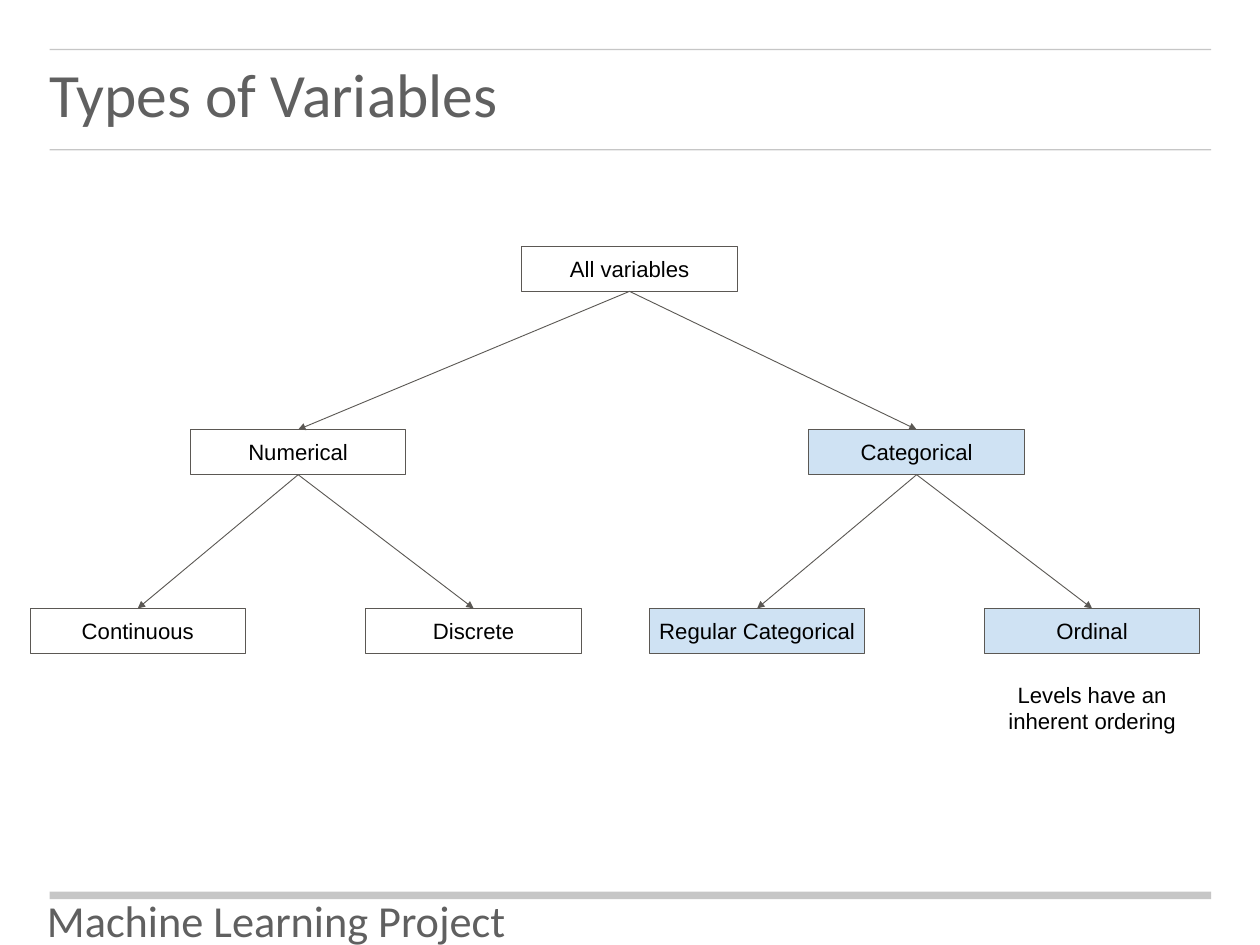
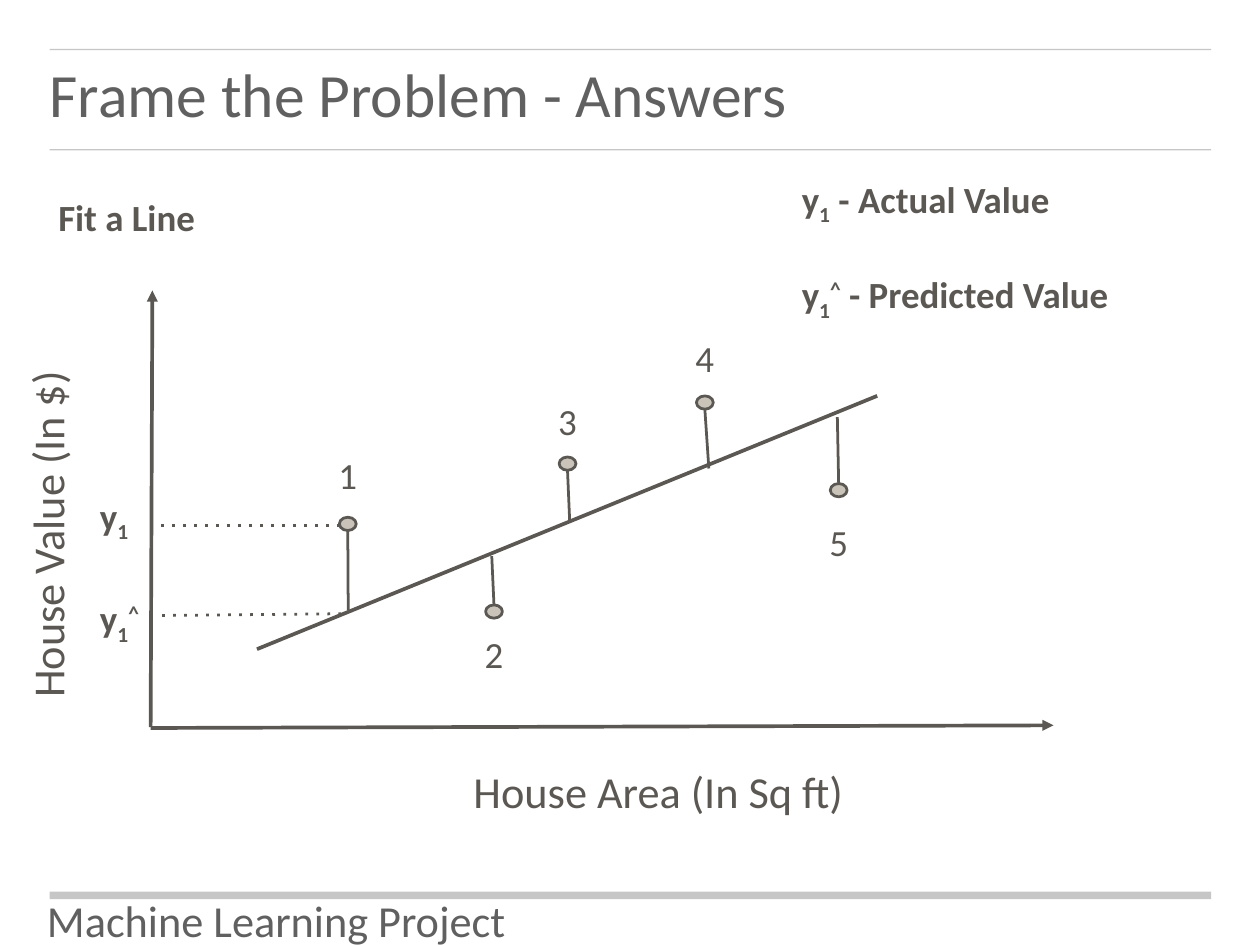
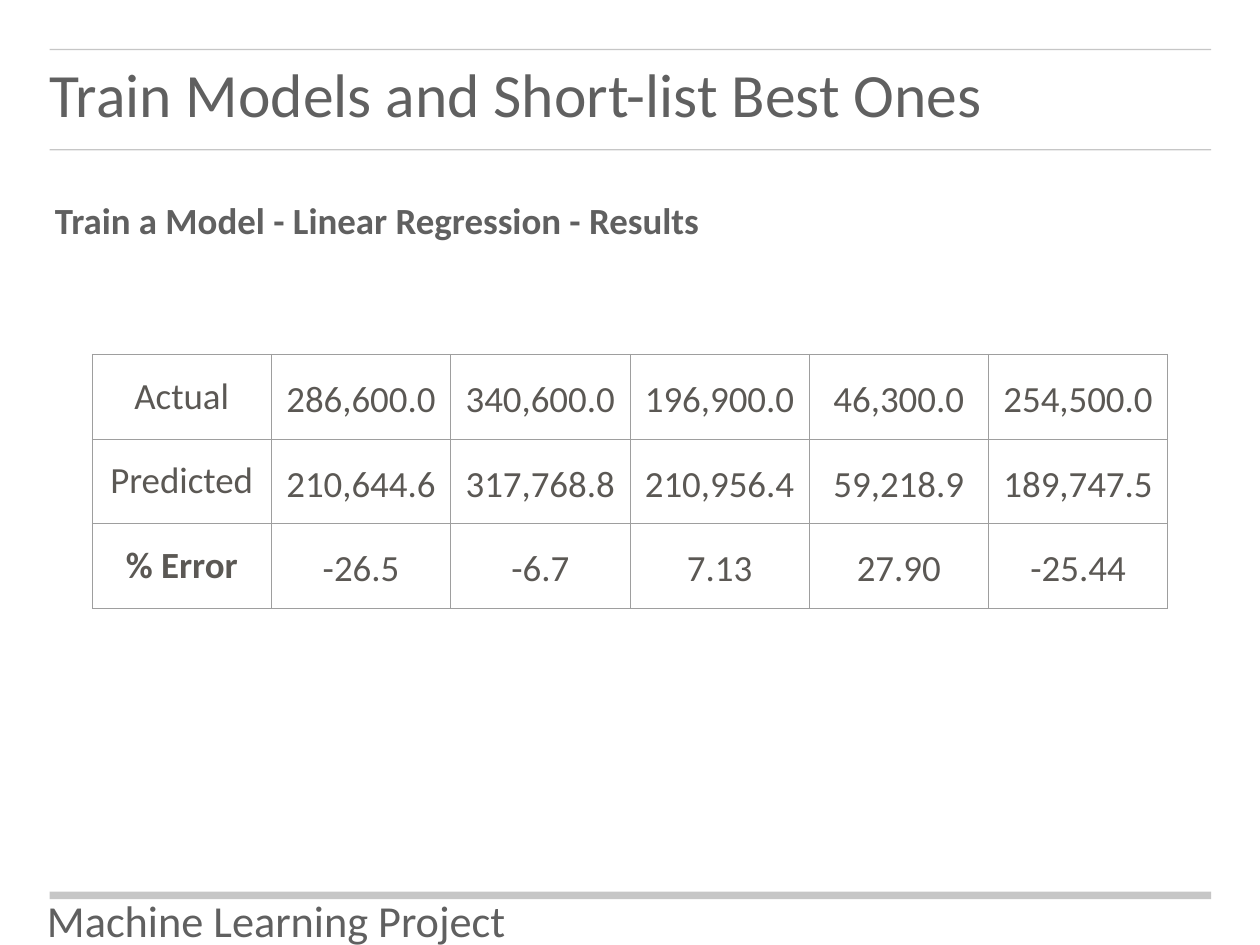
"""Build three slides on variable types, line fitting and regression results."""
from dataclasses import dataclass, replace
from typing import Any, NamedTuple, Optional, Sequence

from lxml.etree import SubElement
from pptx import Presentation
from pptx.dml.color import RGBColor
from pptx.enum.shapes import MSO_CONNECTOR, MSO_SHAPE
from pptx.enum.text import MSO_ANCHOR, MSO_AUTO_SIZE, PP_ALIGN
from pptx.oxml.ns import qn
from pptx.util import Inches, Pt

INK = RGBColor(0x5B, 0x58, 0x54)
HEADING = RGBColor(0x60, 0x60, 0x60)
RULE = RGBColor(0x44, 0x44, 0x44)
BLACK = RGBColor(0x00, 0x00, 0x00)
HIGHLIGHT = RGBColor(0xCF, 0xE2, 0xF3)
DOT_FILL = RGBColor(0xC9, 0xC3, 0xBA)
GRID = RGBColor(0x9E, 0x9E, 0x9E)

SLIDE_WIDTH, SLIDE_HEIGHT = 14.22, 10.67
MARGIN, CONTENT_WIDTH = 0.56, 13.11
NODE_WIDTH, NODE_HEIGHT = 2.43, 0.51
LEVEL_TOPS = (2.78, 4.85, 6.87)
DOT_WIDTH, DOT_HEIGHT = 0.19, 0.15
LABEL_WIDTH, LABEL_HEIGHT = 0.77, 0.55


class Box(NamedTuple):
    """A rectangle in inches."""
    left: float
    top: float
    width: float
    height: float

    def lengths(self) -> list[Inches]:
        """Return the four values as lengths."""
        return [Inches(value) for value in self]


class Run(NamedTuple):
    """A piece of text with an optional baseline shift in percent."""
    text: str
    baseline: int = 0


@dataclass(frozen=True)
class TextStyle:
    """The look of a block of text."""
    size: float
    color: RGBColor
    font: str = "Calibri"
    bold: bool = False
    align: PP_ALIGN = PP_ALIGN.LEFT
    anchor: MSO_ANCHOR = MSO_ANCHOR.TOP
    inset: float = 0.1
    line_spacing: float = 1.0
    gap: float = 0


@dataclass(frozen=True)
class Stroke:
    """The look of a line."""
    color: RGBColor
    width: float
    dash: Optional[str] = None
    arrow: bool = False
    opacity: Optional[int] = None


class Node(NamedTuple):
    """A box of the variable tree."""
    label: str
    left: float
    level: int
    fill: Optional[RGBColor] = None
    parent: Optional[str] = None


class Observation(NamedTuple):
    """A data point with its label and the foot of its stem."""
    label: str
    left: float
    top: float
    foot: tuple[float, float]
    label_top: float


TITLE = TextStyle(50, HEADING, anchor=MSO_ANCHOR.MIDDLE, inset=0, line_spacing=0.9)
FOOTER = TextStyle(36, HEADING, anchor=MSO_ANCHOR.MIDDLE, inset=0.06)
NODE_TEXT = TextStyle(18, BLACK, "Arial", align=PP_ALIGN.CENTER, anchor=MSO_ANCHOR.MIDDLE)
STRONG = TextStyle(30, INK, bold=True)
POINT_LABEL = TextStyle(30, INK, align=PP_ALIGN.CENTER, anchor=MSO_ANCHOR.MIDDLE)
AXIS_LABEL = replace(POINT_LABEL, size=36)
RESULTS_HEADING = replace(STRONG, color=HEADING, inset=0.06, line_spacing=1.15)

THIN_RULE = Stroke(RULE, 1, opacity=29)
THICK_RULE = replace(THIN_RULE, width=6)
BRANCH = Stroke(INK, 0.75, arrow=True)
FITTED = Stroke(INK, 3)
AXIS = replace(FITTED, arrow=True)
STEM = Stroke(INK, 2.25)
GUIDE = replace(STEM, dash="dot")

ACTUAL = [Run("y"), Run("1", -25)]
PREDICTED = [*ACTUAL, Run("^", 30)]

NODES = [
    Node("All variables", 5.89, 0),
    Node("Numerical", 2.15, 1, parent="All variables"),
    Node("Categorical", 9.13, 1, HIGHLIGHT, "All variables"),
    Node("Continuous", 0.34, 2, parent="Numerical"),
    Node("Discrete", 4.13, 2, parent="Numerical"),
    Node("Regular Categorical", 7.33, 2, HIGHLIGHT, "Categorical"),
    Node("Ordinal", 11.11, 2, HIGHLIGHT, "Categorical"),
]
OBSERVATIONS = [
    Observation("1", 3.83, 5.84, (3.93, 6.89), 5.09),
    Observation("2", 5.48, 6.83, (5.55, 6.28), 7.11),
    Observation("3", 6.31, 5.16, (6.43, 5.9), 4.47),
    Observation("4", 7.86, 4.47, (8, 5.29), 3.76),
    Observation("5", 9.37, 5.46, (9.45, 4.71), 5.84),
]
CHART_LINES = [
    ((1.7, 8.22), (11.89, 8.19), AXIS),
    ((1.7, 8.21), (1.72, 3.28), AXIS),
    ((2.9, 7.33), (9.9, 4.47), FITTED),
    ((3.85, 6.93), (1.77, 6.95), GUIDE),
    ((3.84, 5.93), (1.74, 5.93), GUIDE),
]
RESULTS = [
    ["Actual", "286,600.0", "340,600.0", "196,900.0", "46,300.0", "254,500.0"],
    ["Predicted", "210,644.6", "317,768.8", "210,956.4", "59,218.9", "189,747.5"],
    ["% Error", "-26.5", "-6.7", "7.13", "27.90", "-25.44"],
]


def apply(target: Any, values: dict[str, Any]) -> None:
    """Set each named value on the target."""
    for name, value in values.items():
        setattr(target, name, value)


def inset_values(inset: float) -> dict[str, Inches]:
    """Return equal margins for the four sides."""
    return {f"margin_{side}": Inches(inset) for side in ("left", "top", "right", "bottom")}


def write_lines(frame: Any, lines: Sequence[Sequence[Run]], style: TextStyle) -> None:
    """Fill a text frame with paragraphs of runs in one style."""
    for index, line in enumerate(lines):
        paragraph = frame.paragraphs[0] if index == 0 else frame.add_paragraph()
        apply(paragraph, {"alignment": style.align, "line_spacing": style.line_spacing,
                          "space_before": Pt(style.gap if index else 0)})
        for piece in line:
            run = paragraph.add_run()
            run.text = piece.text
            apply(run.font, {"name": style.font, "size": Pt(style.size), "bold": style.bold})
            run.font.color.rgb = style.color
            if piece.baseline:
                run.font._element.set("baseline", str(piece.baseline * 1000))


def write_frame(frame: Any, lines: Sequence[Sequence[Run]], style: TextStyle) -> None:
    """Format a shape's text frame and fill it."""
    apply(frame, {"word_wrap": True, "auto_size": MSO_AUTO_SIZE.NONE,
                  "vertical_anchor": style.anchor, **inset_values(style.inset)})
    write_lines(frame, lines, style)


def add_text(slide: Any, box: Box, lines: Sequence[Sequence[Run]], style: TextStyle) -> Any:
    """Add a text box."""
    text_box = slide.shapes.add_textbox(*box.lengths())
    write_frame(text_box.text_frame, lines, style)
    return text_box


def add_line(slide: Any, start: tuple[float, float], end: tuple[float, float],
             stroke: Stroke) -> Any:
    """Add a straight line without shadow."""
    ends = [Inches(value) for value in (*start, *end)]
    connector = slide.shapes.add_connector(MSO_CONNECTOR.STRAIGHT, *ends)
    connector.line.width = Pt(stroke.width)
    connector.line.color.rgb = stroke.color
    outline = connector.line._get_or_add_ln()
    if stroke.opacity is not None:
        SubElement(outline.find(".//" + qn("a:srgbClr")), qn("a:alpha"),
                   val=str(stroke.opacity * 1000))
    if stroke.dash:
        SubElement(outline, qn("a:prstDash"), val=stroke.dash)
    if stroke.arrow:
        SubElement(outline, qn("a:tailEnd"), type="triangle")
    SubElement(connector._element.spPr, qn("a:effectLst"))
    return connector


def add_outlined(slide: Any, kind: MSO_SHAPE, box: Box, fill: Optional[RGBColor],
                 width: float) -> Any:
    """Add a preset shape with an ink outline and an optional fill."""
    shape = slide.shapes.add_shape(kind, *box.lengths())
    shape.shadow.inherit = False
    shape.line.color.rgb = INK
    shape.line.width = Pt(width)
    if fill is None:
        shape.fill.background()
    else:
        shape.fill.solid()
        shape.fill.fore_color.rgb = fill
    return shape


def add_titled_slide(presentation: Any, layout: Any, title: str) -> Any:
    """Add a slide and format its title."""
    slide = presentation.slides.add_slide(layout)
    box = Box(MARGIN, 0.46, CONTENT_WIDTH, 1.28)
    apply(slide.shapes.title, dict(zip(("left", "top", "width", "height"), box.lengths())))
    write_frame(slide.shapes.title.text_frame, [[Run(title)]], TITLE)
    return slide


def frame_layout(slide: Any) -> None:
    """Move the shared rules and footer into the slide's layout."""
    layout = slide.slide_layout
    for placeholder in list(layout.placeholders)[1:]:
        layout.shapes.element.remove(placeholder.element)
    rules = [add_line(slide, (MARGIN, top), (MARGIN + CONTENT_WIDTH, top), stroke)
             for top, stroke in ((0.56, THIN_RULE), (1.69, THIN_RULE), (10.11, THICK_RULE))]
    footer = add_text(slide, Box(0.47, 10.17, 5.39, 0.43),
                      [[Run("Machine Learning Project")]], FOOTER)
    for part in (*rules, footer):
        layout.shapes.element.append(part.element)


def draw_variable_tree(slide: Any) -> None:
    """Draw the tree of variable types."""
    drawn: dict[str, Any] = {}
    for node in NODES:
        box = Box(node.left, LEVEL_TOPS[node.level], NODE_WIDTH, NODE_HEIGHT)
        drawn[node.label] = add_outlined(slide, MSO_SHAPE.RECTANGLE, box, node.fill, 0.75)
        write_frame(drawn[node.label].text_frame, [[Run(node.label)]], NODE_TEXT)
        if node.parent:
            branch = add_line(slide, (0, 0), (1, 1), BRANCH)
            branch.begin_connect(drawn[node.parent], 2)
            branch.end_connect(drawn[node.label], 0)
    add_text(slide, Box(11.07, 7.59, 2.51, 1.17),
             [[Run("Levels have an inherent ordering")]],
             replace(NODE_TEXT, anchor=MSO_ANCHOR.TOP))


def draw_observation(slide: Any, point: Observation) -> None:
    """Draw a data point, its stem and its number."""
    add_outlined(slide, MSO_SHAPE.FLOWCHART_CONNECTOR,
                 Box(point.left, point.top, DOT_WIDTH, DOT_HEIGHT), DOT_FILL, 2.25)
    above_line = point.foot[1] > point.top
    stem_top = point.top + DOT_HEIGHT if above_line else point.top
    add_line(slide, (point.left + DOT_WIDTH / 2, stem_top), point.foot, STEM)
    label_left = point.left + (DOT_WIDTH - LABEL_WIDTH) / 2
    add_text(slide, Box(label_left, point.label_top, LABEL_WIDTH, LABEL_HEIGHT),
             [[Run(point.label)]], POINT_LABEL)


def draw_line_fit(slide: Any) -> None:
    """Draw the fitted line with its observations."""
    for start, end, stroke in CHART_LINES:
        add_line(slide, start, end, stroke)
    for point in OBSERVATIONS:
        draw_observation(slide, point)
    add_text(slide, Box(1.03, 5.47, 0.97, 0.55), [ACTUAL], STRONG)
    add_text(slide, Box(1.03, 6.63, 0.77, 0.55), [PREDICTED], STRONG)
    add_text(slide, Box(8.95, 1.89, 4.72, 1.7),
             [[*ACTUAL, Run(" - Actual Value")], [*PREDICTED, Run(" - Predicted Value")]],
             replace(STRONG, gap=37))
    value_label = add_text(slide, Box(-1.62, 5.73, 4.29, 0.61),
                           [[Run("House Value (In $)")]], AXIS_LABEL)
    value_label.rotation = 270
    add_text(slide, Box(4.96, 8.62, 4.94, 0.61), [[Run("House Area (In Sq ft)")]], AXIS_LABEL)
    add_text(slide, Box(MARGIN, 2.1, 8.34, 0.55), [[Run("Fit a Line")]], STRONG)


def format_cell(cell: Any, text: str, style: TextStyle) -> None:
    """Write a table cell with thin borders and no fill."""
    properties = cell._tc.get_or_add_tcPr()
    for side in ("lnL", "lnR", "lnT", "lnB"):
        border = SubElement(properties, qn(f"a:{side}"), w=str(Pt(0.75)))
        fill = SubElement(border, qn("a:solidFill"))
        SubElement(fill, qn("a:srgbClr"), val=str(GRID))
    cell.fill.background()
    apply(cell, {"vertical_anchor": style.anchor, **inset_values(style.inset)})
    write_lines(cell.text_frame, [[Run(text)]], style)


def draw_results(slide: Any) -> None:
    """Draw the table of actual and predicted values."""
    add_text(slide, Box(MARGIN, 2.1, CONTENT_WIDTH, 0.7),
             [[Run("Train a Model - Linear Regression - Results")]], RESULTS_HEADING)
    box = Box(1.04, 4, 12.14, 2.87)
    table = slide.shapes.add_table(len(RESULTS), len(RESULTS[0]), *box.lengths()).table
    apply(table, {"first_row": False, "horz_banding": False})
    for row, values in enumerate(RESULTS):
        for column, text in enumerate(values):
            style = replace(POINT_LABEL, bold=text == "% Error",
                            line_spacing=1.15 if column else 1.0)
            format_cell(table.cell(row, column), text, style)


def main() -> None:
    """Build and save the presentation."""
    presentation = Presentation()
    apply(presentation, {"slide_width": Inches(SLIDE_WIDTH),
                         "slide_height": Inches(SLIDE_HEIGHT)})
    layout = presentation.slide_layouts[5]
    pages = [
        ("Types of Variables", draw_variable_tree),
        ("Frame the Problem - Answers", draw_line_fit),
        ("Train Models and Short-list Best Ones", draw_results),
    ]
    for index, (title, draw) in enumerate(pages):
        slide = add_titled_slide(presentation, layout, title)
        if index == 0:
            frame_layout(slide)
        draw(slide)
    presentation.save("out.pptx")


if __name__ == "__main__":
    main()
